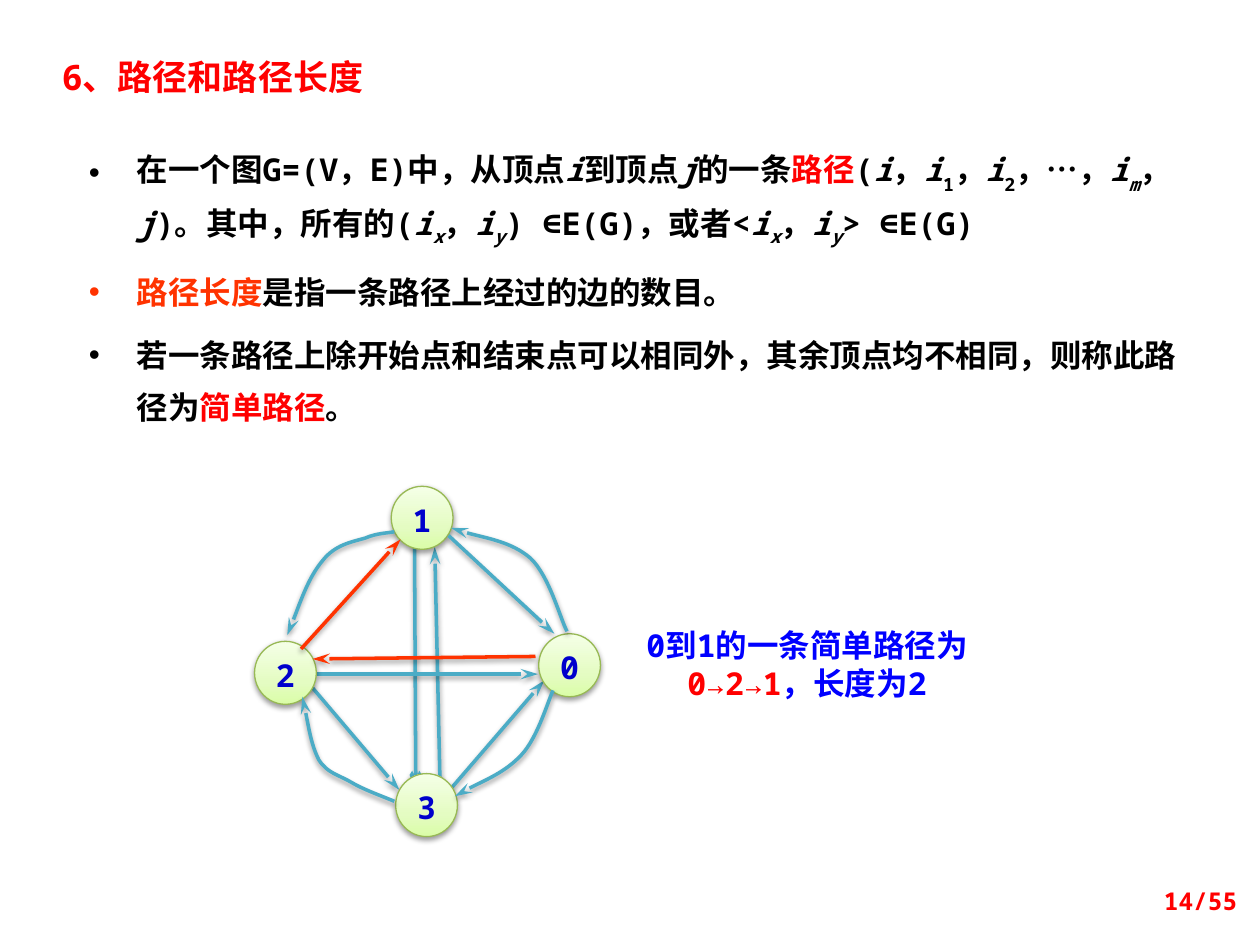
import lxml.etree
import pptx
import pptx.dml.color
import pptx.enum.shapes
import pptx.enum.text
import pptx.oxml.ns
import pptx.util

qn = pptx.oxml.ns.qn
Pt = pptx.util.Pt
Align = pptx.enum.text.PP_ALIGN
Anchor = pptx.enum.text.MSO_ANCHOR

BLACK, RED, ORANGE, BLUE, NAVY = "000000", "FF0000", "FF3300", "0000FF", "0000CC"
TEAL, GREEN = "4BACC6", "98B955"
NODE_STOPS = [(0, "DAFDA7"), (35, "E4FCC2"), (100, "F5FFE7")]
NODE_SIZE = (4.9, 5)


def color(text):
    return pptx.dml.color.RGBColor.from_string(text)


def add_element(parent, tag, **attributes):
    element = lxml.etree.SubElement(parent, qn(tag))
    for name, value in attributes.items():
        element.set(name, str(value))
    return element


class SlideBuilder:
    """Places elements on a grid of 100 columns by 75 rows."""
    columns, rows = 100, 75
    latin_font, asian_font = "Noto Sans Mono", "Noto Sans CJK JP"

    def __init__(self, presentation):
        self.width = presentation.slide_width
        self.height = presentation.slide_height
        self.slide = presentation.slides.add_slide(presentation.slide_layouts[1])

    def point(self, column, row):
        return (round(self.width * column / self.columns),
                round(self.height * row / self.rows))

    def box(self, left, top, width, height):
        return self.point(left, top) + self.point(width, height)

    def add_run(self, paragraph, text, size, fill=BLACK, italic=False, baseline=0):
        run = paragraph.add_run()
        run.text = text
        font = run.font
        font.name = self.latin_font
        font.size, font.bold, font.italic = Pt(size), True, italic
        font.color.rgb = color(fill)
        properties = run._r.get_or_add_rPr()
        add_element(properties, "a:ea", typeface=self.asian_font)
        if baseline:
            properties.set("baseline", str(baseline * 1000))

    def placeholder(self, index, box):
        shape = self.slide.placeholders[index]
        shape.left, shape.top, shape.width, shape.height = self.box(*box)
        shape.text_frame.auto_size = pptx.enum.text.MSO_AUTO_SIZE.NONE
        shape.text_frame.vertical_anchor = Anchor.TOP
        return shape

    def title(self, box, text):
        paragraph = self.placeholder(0, box).text_frame.paragraphs[0]
        paragraph.alignment = Align.LEFT
        self.add_run(paragraph, text, 20, RED)

    def bullets(self, box, items):
        shape = self.placeholder(1, box)
        shape.fill.solid()
        shape.fill.fore_color.rgb = color("FFFFFF")
        frame = shape.text_frame
        frame.margin_left, frame.margin_top = self.point(1.55, 1.1)
        frame.margin_right, frame.margin_bottom = self.point(1.75, 1.2)
        indent = self.point(3.8, 0)[0]
        for number, runs in enumerate(items):
            paragraph = frame.add_paragraph() if number else frame.paragraphs[0]
            properties = paragraph._p.get_or_add_pPr()
            properties.set("marL", str(indent))
            properties.set("indent", str(-indent))
            paragraph.line_spacing = Pt(30)
            paragraph.space_before = Pt(6 if number else 0)
            for text, style in runs:
                self.add_run(paragraph, text, 18, **style)

    def text(self, box, runs, size, alignment, anchor=Anchor.TOP):
        frame = self.slide.shapes.add_textbox(*self.box(*box)).text_frame
        frame.word_wrap = True
        frame.vertical_anchor = anchor
        paragraph = frame.paragraphs[0]
        paragraph.alignment = alignment
        for text, fill in runs:
            self.add_run(paragraph, text, size, fill)

    def add_shadow(self, shape):
        effects = add_element(shape._element.spPr, "a:effectLst")
        shadow = add_element(effects, "a:outerShdw", blurRad=Pt(3.1), dist=Pt(1.6),
                             dir=90 * 60000, rotWithShape=0)
        add_element(add_element(shadow, "a:srgbClr", val=BLACK), "a:alpha", val=38000)

    def node(self, left, top, label):
        shape = self.slide.shapes.add_shape(pptx.enum.shapes.MSO_SHAPE.OVAL,
                                            *self.box(left, top, *NODE_SIZE))
        shape.fill.gradient()
        shape.fill.gradient_angle = 90
        stops = shape._element.spPr.find(".//" + qn("a:gsLst"))
        for stop in list(stops):
            stops.remove(stop)
        for position, fill in NODE_STOPS:
            stop = add_element(stops, "a:gs", pos=position * 1000)
            add_element(stop, "a:srgbClr", val=fill)
        shape.line.color.rgb = color(GREEN)
        shape.line.width = Pt(0.75)
        self.add_shadow(shape)
        frame = shape.text_frame
        frame.margin_left = frame.margin_right = frame.margin_bottom = 0
        frame.margin_top = self.point(0, 1.2)[1]
        frame.vertical_anchor = Anchor.TOP
        paragraph = frame.paragraphs[0]
        paragraph.alignment = Align.CENTER
        paragraph.line_spacing = 0.72
        self.add_run(paragraph, label, 18, NAVY)

    def finish_arrow(self, shape, fill, head):
        shape.line.color.rgb = color(fill)
        shape.line.width = Pt(2)
        add_element(shape.line._get_or_add_ln(), "a:tailEnd", type=head, w="med", len="lg")
        self.add_shadow(shape)

    def arrow(self, start, end, fill=TEAL, head="stealth"):
        connector = self.slide.shapes.add_connector(
            pptx.enum.shapes.MSO_CONNECTOR.STRAIGHT, *self.point(*start), *self.point(*end))
        self.finish_arrow(connector, fill, head)

    def curved_arrow(self, start, *controls):
        """Draws Bezier segments; every three points after start make one segment."""
        builder = self.slide.shapes.build_freeform(*self.point(*start))
        builder.add_line_segments([self.point(*control) for control in controls], close=False)
        shape = builder.convert_to_shape()
        outline = shape._element.spPr.find(".//" + qn("a:path"))
        lines = outline.findall(qn("a:lnTo"))
        for first in range(0, len(lines), 3):
            curve = add_element(outline, "a:cubicBezTo")
            for line in lines[first:first + 3]:
                curve.append(line[0])
                outline.remove(line)
        shape.fill.background()
        self.finish_arrow(shape, TEAL, "stealth")


def main():
    presentation = pptx.Presentation()
    presentation.slide_width = pptx.util.Inches(10)
    presentation.slide_height = pptx.util.Inches(7.5)
    builder = SlideBuilder(presentation)

    plain, red, orange = {}, {"fill": RED}, {"fill": ORANGE}
    italic, index = {"italic": True}, {"baseline": -30}
    italic_index = {"italic": True, "baseline": -30}
    letter_index = {"italic": True, "baseline": -25}
    edge = [("i", italic), ("x", letter_index), ("，", plain),
            ("i", italic), ("y", letter_index)]
    builder.title((3.9, 3.9, 38.3, 4.4), "6、路径和路径长度")
    builder.bullets((5.5, 10.2, 89.8, 25.1), [
        [("在一个图G=(V，E)中，从顶点", plain), ("i", italic), ("到顶点", plain),
         ("j", italic), ("的一条", plain), ("路径", red), ("(", plain),
         ("i", italic), ("，", plain), ("i", italic), ("1", index), ("，", plain),
         ("i", italic), ("2", index), ("，…，", plain), ("i", italic),
         ("m", italic_index), ("，", plain), ("j", italic), (")。其中，所有的(", plain),
         *edge, (") ∈E(G)，或者<", plain), *edge, ("> ∈E(G)", plain)],
        [("路径长度", orange), ("是指一条路径上经过的边的数目。", plain)],
        [("若一条路径上除开始点和结束点可以相同外，其余顶点均不相同，则称此路径为", plain),
         ("简单路径", red), ("。", plain)],
    ])

    builder.arrow((32.9, 43.2), (33, 62.7), head="arrow")
    for start, end in [((35, 65.6), (34.5, 43.4)), ((25.2, 53.5), (42.7, 53.5)),
                       ((23.2, 52.7), (31.7, 62.7)), ((35, 63.5), (43.2, 54))]:
        builder.arrow(start, end)
    for left, top, label in [(31.05, 38.6, "1"), (42.75, 50.3, "0"),
                             (20.2, 50.9, "2"), (31.4, 61.4, "3")]:
        builder.node(left, top, label)

    builder.curved_arrow((43.9, 54.8), (43.5, 55.6), (42.7, 58.5), (41.4, 59.9),
                         (40.1, 61.3), (37.2, 62.5), (36.1, 63.2))
    builder.curved_arrow((31.3, 42.2), (30.9, 42.3), (29.9, 42.3), (29, 42.7),
                         (28, 43), (26.6, 43.2), (25.6, 44.5),
                         (24.5, 45.8), (23.3, 49.2), (22.8, 50.4))
    builder.curved_arrow((31.3, 63.6), (30.6, 63.3), (28.9, 62.7), (27.9, 62.1),
                         (26.9, 61.5), (26, 61.4), (25.3, 60.3),
                         (24.7, 59.1), (24.2, 56.1), (24, 55.3))
    builder.curved_arrow((45, 50.1), (44.5, 49.2), (43.6, 45.7), (42.1, 44.3),
                         (40.6, 43), (37.1, 42.4), (35.8, 41.9))
    builder.arrow((42.5, 52.1), (24.8, 52.3), ORANGE)
    builder.arrow((23.9, 51.5), (31.8, 42.8), ORANGE)
    builder.arrow((35.6, 42.5), (44, 50.3))

    builder.text((50, 49.2, 28.1, 7.1),
                 [("0到1的一条简单路径为", BLUE), ("0→2→1", RED), ("，长度为2", BLUE)],
                 18, Align.CENTER)
    builder.text((75.9, 69.5, 23.3, 4), [("14/55", RED)], 14, Align.RIGHT, Anchor.MIDDLE)
    presentation.save("out.pptx")


if __name__ == "__main__":
    main()
